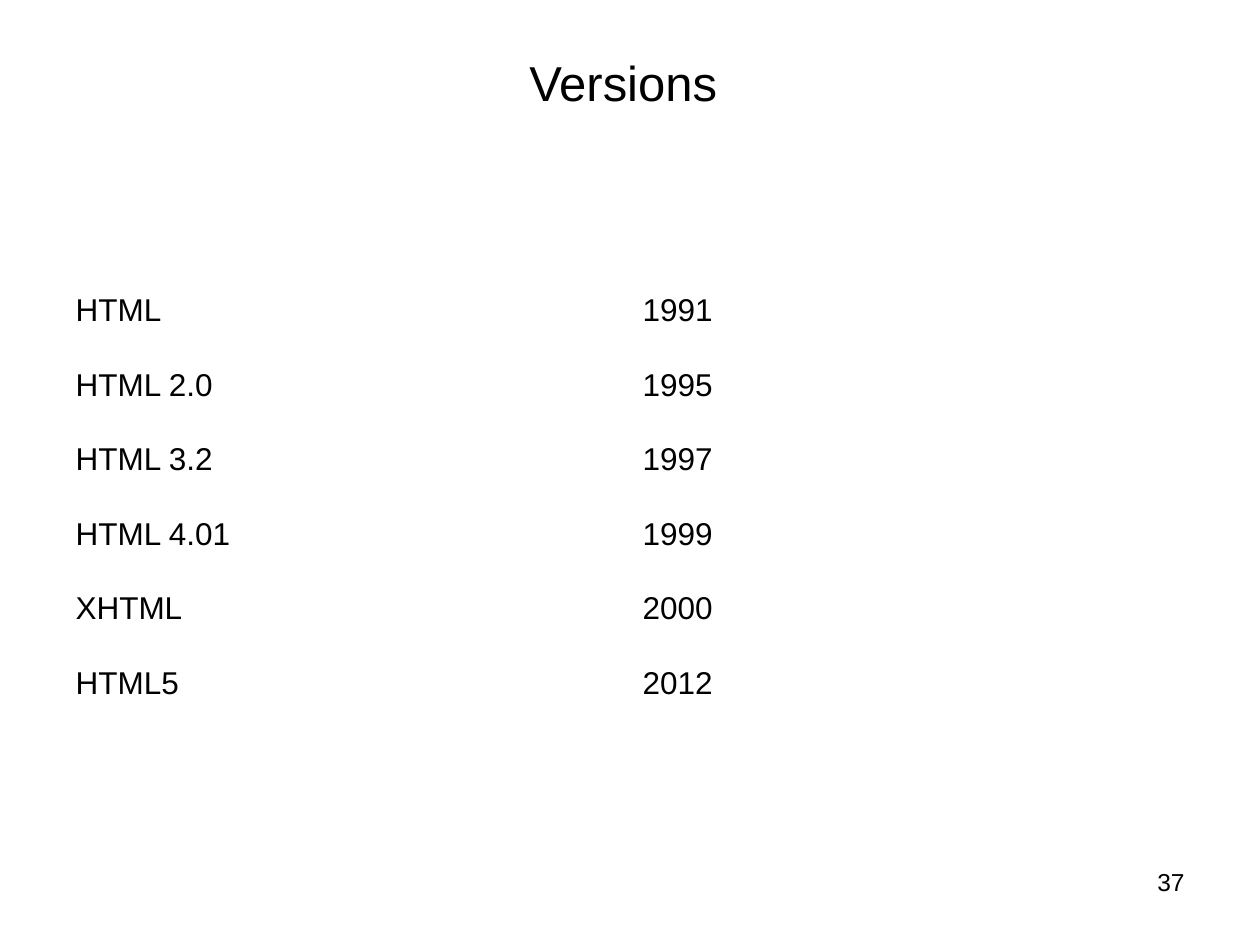
import pptx
import pptx.dml.color
import pptx.enum.text
import pptx.util

Inches = pptx.util.Inches
Align = pptx.enum.text.PP_ALIGN
Anchor = pptx.enum.text.MSO_ANCHOR

COLORS = {"text": "000000", "background": "FFFFFF"}
FONT = "Arial"
# The first row is left empty
VERSIONS = [
    ("", ""),
    ("HTML", "1991"),
    ("HTML 2.0", "1995"),
    ("HTML 3.2", "1997"),
    ("HTML 4.01", "1999"),
    ("XHTML", "2000"),
    ("HTML5", "2012"),
]


def write_text(paragraph, text, size, alignment=Align.LEFT):
    paragraph.text = text
    paragraph.alignment = alignment
    font_format = {"name": FONT, "size": pptx.util.Pt(size), "bold": False}
    for name, value in font_format.items():
        setattr(paragraph.font, name, value)
    paragraph.font.color.rgb = pptx.dml.color.RGBColor.from_string(COLORS["text"])


def add_label(slide, box, text, size, alignment, anchor):
    shape = slide.shapes.add_textbox(*map(Inches, box))
    frame_format = {"word_wrap": True, "vertical_anchor": anchor}
    for name, value in frame_format.items():
        setattr(shape.text_frame, name, value)
    write_text(shape.text_frame.paragraphs[0], text, size, alignment)


def add_versions_table(slide, box, rows):
    left, top, width, height = box
    table = slide.shapes.add_table(
        len(rows), len(rows[0]), *map(Inches, box)).table
    table_format = {"first_row": False, "horz_banding": False}
    for name, value in table_format.items():
        setattr(table, name, value)
    for column in table.columns:
        column.width = Inches(width / len(rows[0]))
    for row, texts in zip(table.rows, rows):
        row.height = Inches(height / len(rows))
        for cell, text in zip(row.cells, texts):
            cell.fill.background()
            cell.vertical_anchor = Anchor.MIDDLE
            write_text(cell.text_frame.paragraphs[0], text, 18)


def main():
    presentation = pptx.Presentation()
    presentation.slide_width = Inches(10)
    presentation.slide_height = Inches(7.5)
    slide = presentation.slides.add_slide(presentation.slide_layouts[6])
    slide.background.fill.solid()
    slide.background.fill.fore_color.rgb = pptx.dml.color.RGBColor.from_string(
        COLORS["background"])

    # Title
    add_label(slide, (0.5, 0.3, 9, 0.7), "Versions ", 28,
              Align.CENTER, Anchor.MIDDLE)
    # Versions and their years
    add_versions_table(slide, (0.5, 1.58, 9, 4.14), VERSIONS)
    # Page number
    add_label(slide, (7.17, 6.83, 2.33, 0.52), "37", 14,
              Align.RIGHT, Anchor.TOP)

    presentation.save("out.pptx")


if __name__ == "__main__":
    main()
